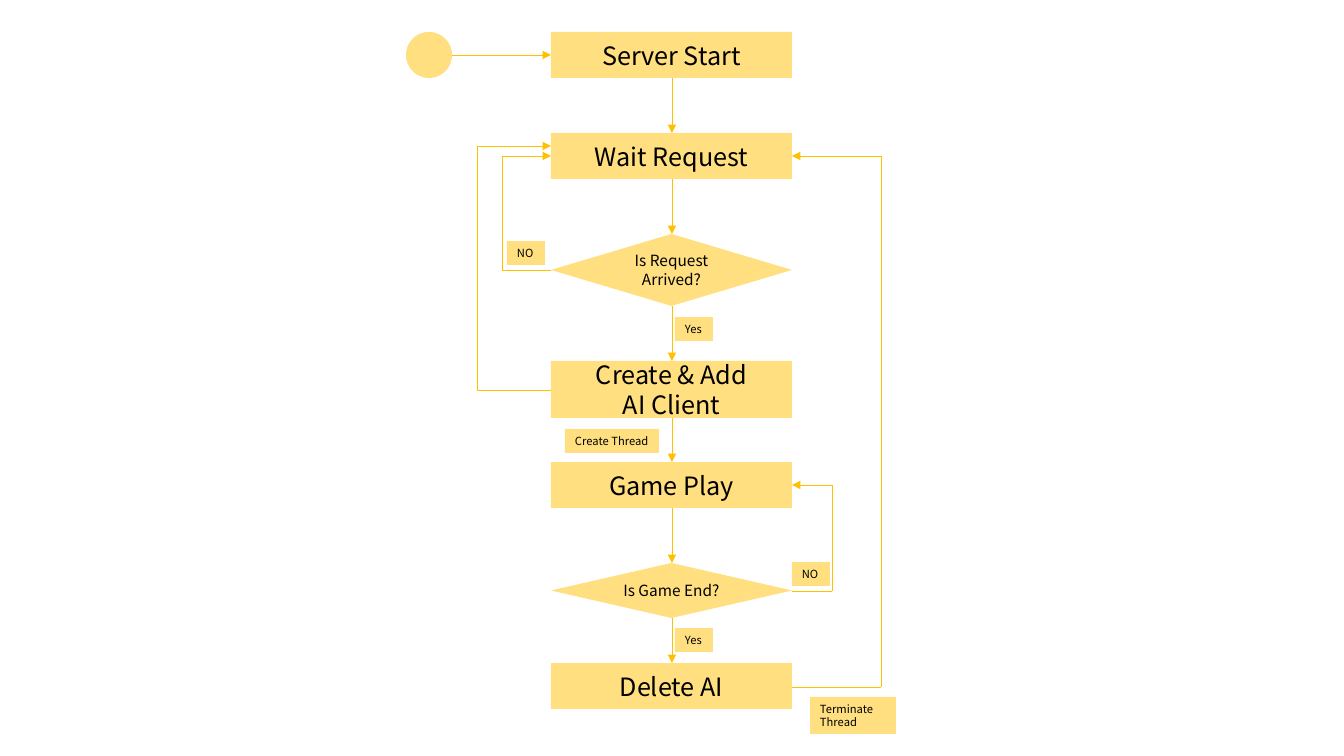
from itertools import pairwise

from lxml import etree
from pptx import Presentation
from pptx import util as u
from pptx.dml.color import RGBColor
from pptx.enum import shapes, text
from pptx.oxml.ns import qn

PX = 914400 / 100.8
FONT = "Noto Sans CJK KR"
COLORS = {"amber": "FFC000", "ink": "000000"}
RECT = shapes.MSO_SHAPE.RECTANGLE
DECISION = shapes.MSO_SHAPE.FLOWCHART_DECISION
START_DOT = shapes.MSO_SHAPE.FLOWCHART_CONNECTOR

LEFT, WIDTH = 551, 241
RIGHT, MIDDLE = LEFT + WIDTH, 672
DOT_LEFT, DOT_SIZE = 406, 46

# (lines, shape, top, height, point size)
STEPS = [
    (["Server Start"], RECT, 32, 46, 18),
    (["Wait Request"], RECT, 133, 46, 18),
    (["Is Request Arrived?"], DECISION, 234, 72, 11),
    (["Create & Add", "AI Client"], RECT, 361, 57, 18),
    (["Game Play"], RECT, 462, 46, 18),
    (["Is Game End?"], DECISION, 563, 55, 11),
    (["Delete AI"], RECT, 663, 46, 18),
]

# (words, left, top, width, height, wraps)
LABELS = [
    ("NO", 507, 241, 38, 24, False),
    ("Yes", 675, 317, 38, 24, False),
    ("Create Thread", 565, 429, 94, 24, True),
    ("NO", 792, 562, 38, 24, False),
    ("Yes", 675, 628, 38, 24, False),
    ("Terminate Thread", 810, 697, 86, 37, True),
]

# (edge, lane x, y it leaves at, y it returns to)
LOOPS = [
    (LEFT, 502, 270, 156),
    (LEFT, 477, 390, 146),
    (RIGHT, 832, 591, 485),
    (RIGHT, 881, 687, 156),
]


def px(length):
    """Turn pixels into EMU."""
    return u.Emu(round(length * PX))


def color(name):
    """Look up a colour by name."""
    return RGBColor.from_string(COLORS[name])


def add_block(slide, kind, box, lines=(), size=8, centred=True, wraps=True):
    """Add a half-transparent amber shape with its lines of text."""
    block = slide.shapes.add_shape(kind, *map(px, box))
    block.shadow.inherit = False
    block.line.fill.background()
    block.fill.solid()
    block.fill.fore_color.rgb = color("amber")
    tint = block.fill._xPr.find(qn("a:solidFill"))[0]
    etree.SubElement(tint, qn("a:alpha"), val="50000")

    frame = block.text_frame
    frame.word_wrap = wraps
    frame.vertical_anchor = text.MSO_ANCHOR.MIDDLE if centred else text.MSO_ANCHOR.TOP
    for index, words in enumerate(lines):
        paragraph = frame.add_paragraph() if index else frame.paragraphs[0]
        paragraph.alignment = text.PP_ALIGN.CENTER if centred else text.PP_ALIGN.LEFT
        run = paragraph.add_run()
        run.text = words
        run.font.name = FONT
        run.font.size = u.Pt(size)
        run.font.color.rgb = color("ink")


def add_route(slide, *points):
    """Join the points with straight lines and end in an arrowhead."""
    for start, end in pairwise(points):
        leg = slide.shapes.add_connector(
            shapes.MSO_CONNECTOR.STRAIGHT, *map(px, start + end))
        leg.line.color.rgb = color("amber")
        leg.line.width = u.Pt(0.5)
        etree.SubElement(leg._element.spPr, qn("a:effectLst"))
    etree.SubElement(leg.line._get_or_add_ln(), qn("a:tailEnd"), type="triangle")


deck = Presentation()
deck.slide_width, deck.slide_height = px(1344), px(756)
slide = deck.slides.add_slide(deck.slide_layouts[6])

first_top = STEPS[0][2]
first_middle = first_top + DOT_SIZE / 2
add_block(slide, START_DOT, (DOT_LEFT, first_top, DOT_SIZE, DOT_SIZE))
add_route(slide, (DOT_LEFT + DOT_SIZE, first_middle), (LEFT, first_middle))

for lines, kind, top, height, size in STEPS:
    add_block(slide, kind, (LEFT, top, WIDTH, height), lines, size)
for (_, _, top, height, _), (_, _, next_top, _, _) in pairwise(STEPS):
    add_route(slide, (MIDDLE, top + height), (MIDDLE, next_top))

for edge, lane, leave, back in LOOPS:
    add_route(slide, (edge, leave), (lane, leave), (lane, back), (edge, back))

for words, *box, wraps in LABELS:
    add_block(slide, RECT, box, [words], centred=False, wraps=wraps)

deck.save("out.pptx")
